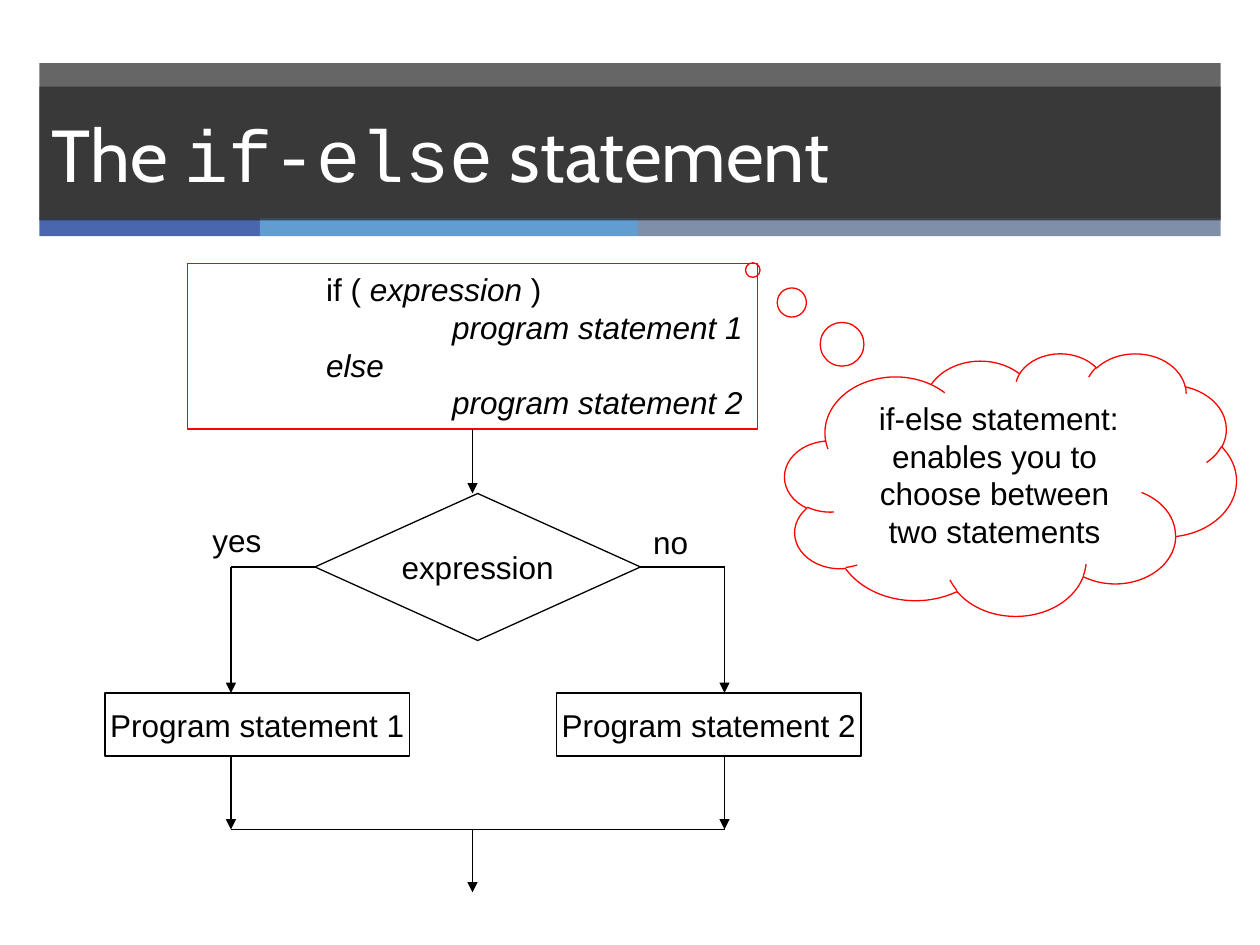
from lxml import etree
from pptx import Presentation, util as u
from pptx.dml.color import RGBColor
from pptx.enum import shapes, text
from pptx.oxml import ns

BLACK = RGBColor(0, 0, 0)
WHITE = RGBColor(255, 255, 255)
RED = RGBColor(255, 0, 0)
DARK = RGBColor(0x26, 0x26, 0x26)
BLUE = RGBColor(0x4A, 0x66, 0xAC)
SKY = RGBColor(0x62, 0x9D, 0xD1)
SLATE = RGBColor(0x7F, 0x8F, 0xA9)
KIND = shapes.MSO_SHAPE
SCALE = 9525


def px(*vals):
    return [u.Emu(val * SCALE) for val in vals]


def node(base, tag, **attrs):
    return etree.SubElement(base, ns.qn(tag), attrs)


class Board:
    font = "Arial"
    size = 18
    width = u.Pt(0.75)
    tab = 96

    def __init__(self, slide):
        self.items = slide.shapes

    def band(self, box, color, alpha=None):
        band = self.items.add_shape(KIND.RECTANGLE, *px(*box))
        band.shadow.inherit = False
        band.fill.solid()
        band.fill.fore_color.rgb = color
        band.line.fill.background()
        if alpha:
            tint = band.fill._xPr.find(".//" + ns.qn("a:srgbClr"))
            node(tint, "a:alpha", val=str(alpha * 1000))
        return band

    def shape(self, kind, box, color=BLACK):
        item = self.items.add_shape(kind, *px(*box))
        item.shadow.inherit = False
        item.fill.background()
        item.line.color.rgb = color
        item.line.width = self.width
        return item

    def style(self, run, font=None, size=None, color=BLACK, slant=False):
        run.font.name = font or self.font
        run.font.size = u.Pt(size or self.size)
        run.font.color.rgb = color
        run.font.italic = slant

    def words(self, item, words, wrap=False, anchor=text.MSO_ANCHOR.MIDDLE):
        frame = item.text_frame
        frame.text = words
        frame.word_wrap = wrap
        frame.vertical_anchor = anchor
        para = frame.paragraphs[0]
        para.alignment = text.PP_ALIGN.CENTER
        self.style(para.runs[0])

    def title(self, item, parts):
        item.text_frame.vertical_anchor = text.MSO_ANCHOR.MIDDLE
        para = item.text_frame.paragraphs[0]
        para.alignment = text.PP_ALIGN.LEFT
        for words, font in parts:
            run = para.add_run()
            run.text = words
            self.style(run, font, 42, WHITE)

    def code(self, item, lines):
        frame = item.text_frame
        frame.word_wrap = True
        frame.vertical_anchor = text.MSO_ANCHOR.TOP
        for row, line in enumerate(lines):
            para = frame.add_paragraph() if row else frame.paragraphs[0]
            para.alignment = text.PP_ALIGN.LEFT
            stops = node(para._p.get_or_add_pPr(), "a:tabLst")
            for step in (1, 2):
                node(stops, "a:tab", pos=str(step * self.tab * SCALE), algn="l")
            for words, slant in line:
                run = para.add_run()
                run.text = words
                self.style(run, slant=slant)

    def label(self, box, words):
        item = self.items.add_textbox(*px(*box))
        self.words(item, words, anchor=text.MSO_ANCHOR.TOP)

    def line(self, start, end, arrow=True):
        line = self.items.add_connector(
            shapes.MSO_CONNECTOR.STRAIGHT, *px(*start, *end))
        line.line.color.rgb = BLACK
        line.line.width = self.width
        if arrow:
            node(line.line._get_or_add_ln(), "a:tailEnd", type="triangle")
        node(line._element.spPr, "a:effectLst")
        return line


def main():
    deck = Presentation()
    deck.slide_width, deck.slide_height = px(960, 720)
    board = Board(deck.slides.add_slide(deck.slide_layouts[6]))

    board.band((30, 48, 900, 119), DARK, 70)
    left = 30
    for width, color in ((168, BLUE), (288, SKY), (444, SLATE)):
        board.band((left, 166, width, 14), color)
        left += width
    head = board.band((30, 66, 900, 102), DARK, 70)
    board.title(head, (("The ", "Cabin"), ("if-else", "Courier New"),
                       (" statement", "Cabin")))

    cloud = board.shape(KIND.CLOUD_CALLOUT, (598, 269, 344, 200), RED)
    cloud.adjustments[0] = -0.571
    cloud.adjustments[1] = -0.816
    board.words(cloud, " if-else statement: enables you to choose between "
                "two statements", True, text.MSO_ANCHOR.TOP)

    syntax = board.shape(KIND.RECTANGLE, (143, 201, 434, 126), RED)
    board.code(syntax, (
        (("\tif ( ", False), ("expression ", True), (")", False)),
        (("\t\tprogram statement 1", True),),
        (("\telse", True),),
        (("\t\tprogram statement 2", True),),
    ))

    test = board.shape(KIND.FLOWCHART_DECISION, (240, 376, 248, 112))
    board.words(test, "expression")
    board.line((360, 327), (360, 376)).begin_connect(syntax, 2)

    yes, mid, no = 176, 360, 552
    board.label((152, 392, 57, 38), "yes")
    board.label((488, 394, 46, 38), "no")
    sides = ((yes, 80, 240, 1, "Program statement 1"),
             (no, 424, 488, 3, "Program statement 2"))
    for x, left, edge, site, words in sides:
        step = board.shape(KIND.FLOWCHART_PROCESS, (left, 528, 232, 48))
        board.words(step, words)
        board.line((x, 432), (edge, 432), False).end_connect(test, site)
        board.line((x, 432), (x, 528))
        board.line((x, 576), (x, 632))
    board.line((yes, 632), (no, 632), False)
    board.line((mid, 632), (mid, 680))

    deck.save("out.pptx")


if __name__ == "__main__":
    main()
